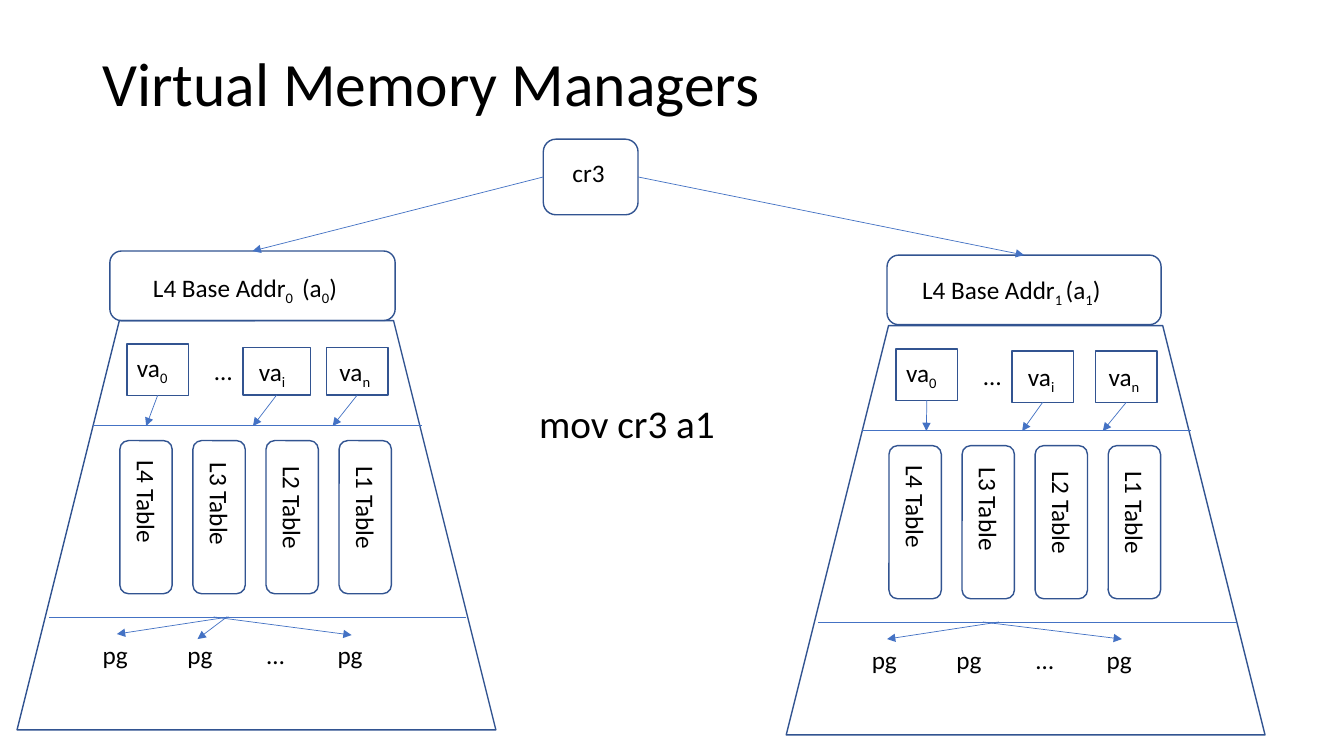
from lxml.etree import SubElement
from pptx import Presentation
from pptx.dml.color import RGBColor
from pptx.enum.shapes import MSO_CONNECTOR, MSO_SHAPE
from pptx.enum.text import MSO_ANCHOR
from pptx.oxml.ns import qn
from pptx.util import Pt

BLACK = RGBColor(0x00, 0x00, 0x00)
OUTLINE = RGBColor(0x32, 0x54, 0x91)
ARROW = RGBColor(0x44, 0x72, 0xC4)
TOP, LEFT, BOTTOM, RIGHT = range(4)
LABEL_HEIGHT = 29


def add_outline(slide, preset, left, top, width, height):
    outline = slide.shapes.add_shape(
        preset, Pt(left), Pt(top), Pt(width), Pt(height))
    outline.shadow.inherit = False
    outline.fill.background()
    outline.line.color.rgb = OUTLINE
    outline.line.width = Pt(1)
    return outline


def add_label(slide, text, left, top, width, height=LABEL_HEIGHT, size=18):
    """Add a text box; every second part between underscores is a subscript."""
    label = slide.shapes.add_textbox(Pt(left), Pt(top), Pt(width), Pt(height))
    label.text_frame.word_wrap = True
    paragraph = label.text_frame.paragraphs[0]
    for index, part in enumerate(text.split("_")):
        if not part:
            continue
        run = paragraph.add_run()
        run.text = part
        run.font.name = "Calibri"
        run.font.size = Pt(size)
        run.font.color.rgb = BLACK
        if index % 2:
            run._r.get_or_add_rPr().set("baseline", "-25000")
    return label


def add_line(slide, start, end, arrow=False):
    line = slide.shapes.add_connector(
        MSO_CONNECTOR.STRAIGHT, *[Pt(value) for value in (*start, *end)])
    line.line.color.rgb = ARROW
    line.line.width = Pt(0.5)
    if arrow:
        SubElement(line.line._get_or_add_ln(), qn("a:tailEnd"), type="triangle")
    SubElement(line._element.spPr, qn("a:effectLst"))
    return line


def add_title(slide, text):
    title = add_label(slide, text, 66, 9.5, 828, 104.4, 44)
    title.text_frame.vertical_anchor = MSO_ANCHOR.MIDDLE
    title.text_frame.paragraphs[0].line_spacing = 0.9


def add_base_address(slide, cr3, cr3_side, box, text, text_place):
    base = add_outline(slide, MSO_SHAPE.FLOWCHART_ALTERNATE_PROCESS, *box)
    add_label(slide, text, *text_place)
    pointer = add_line(slide, (0, 0), (0, 0), arrow=True)
    pointer.begin_connect(cr3, cr3_side)
    pointer.end_connect(base, TOP)


def add_page_tables(slide, x, y):
    label_centers = (140.4, 142.2, 144.7, 144.7)
    for index, center in enumerate(label_centers):
        left = x + 73.4 + 52.2 * index
        add_outline(slide, MSO_SHAPE.FLOWCHART_ALTERNATE_PROCESS,
                    left, y + 85.7, 37.4, 109.4)
        label = add_label(slide, f"L{4 - index} Table", left - 28.8,
                          y + center - LABEL_HEIGHT / 2, 95.8)
        label.rotation = 90


def add_address_space(slide, x, y, address_boxes, target_xs, page_arrows):
    """Draw one translation tree whose trapezoid starts at (x, y)."""
    add_outline(slide, MSO_SHAPE.TRAPEZOID, x, y, 342, 292.3)

    addresses = (("va_0", 78.5, 19.1), ("va_i", 165.6, 21.6),
                 ("va_n", 223.2, 21.6))
    for (text, dx, dy), box, target_x in zip(addresses, address_boxes, target_xs):
        left, top, width, height = box
        address = add_outline(slide, MSO_SHAPE.FLOWCHART_PROCESS,
                              x + left, y + top, width, height)
        add_label(slide, text, x + dx, y + dy, 46)
        lookup = add_line(slide, (x, y), (x + target_x, y + 75.3), arrow=True)
        lookup.begin_connect(address, BOTTOM)
    add_label(slide, "…", x + 134, y + 21.4, 22.3)

    for start, end, level in ((54, 289.4, 74.9), (23, 321, 211.7)):
        add_line(slide, (x + start, y + level), (x + end, y + level))
    add_page_tables(slide, x, y)

    for text, dx in (("pg", 54), ("pg", 114.5), ("…", 171.4), ("pg", 221.8)):
        add_label(slide, text, x + dx, y + 224, 35.3 if text == "pg" else 22.3)
    for start_x, end_x, end_y in page_arrows:
        add_line(slide, (x + start_x, y + 211.7), (x + end_x, y + end_y),
                 arrow=True)


def main():
    presentation = Presentation()
    presentation.slide_width = Pt(960)
    presentation.slide_height = Pt(540)
    slide = presentation.slides.add_slide(presentation.slide_layouts[6])

    add_title(slide, "Virtual Memory Managers")
    cr3 = add_outline(slide, MSO_SHAPE.FLOWCHART_ALTERNATE_PROCESS,
                      388.1, 99.4, 67.7, 54)
    add_label(slide, "cr3", 401.8, 108.7, 48.2)
    add_base_address(slide, cr3, LEFT, (78.5, 179.3, 203.8, 49.7),
                     "L4 Base Addr_0 _ (a_0_)", (102.2, 190.8, 158.4))
    add_base_address(slide, cr3, RIGHT, (633.6, 182.2, 195.8, 49.7),
                     "L4 Base Addr_1 _(a_1_)", (651.6, 192.2, 166.3))

    first_box = (78.5, 16.6, 43.9, 36.7)
    add_address_space(
        slide, 12.2, 229,
        (first_box, (161.3, 19.4, 48.2, 33.8), (221, 19.4, 43.9, 33.8)),
        (92.2, 168.5, 225.4),
        ((151.2, 71.3, 223.9), (149.8, 128.9, 227.5), (140.4, 239, 224.6)))
    add_address_space(
        slide, 561.6, 232.6,
        (first_box, (161.3, 18, 43.9, 36.7), (221, 18, 43.9, 36.7)),
        (100.1, 168.5, 226.1),
        ((151.9, 72, 223.9), (140.4, 239.8, 223.9)))
    add_label(slide, "mov cr3 a1", 378, 281.5, 167.8, 41, 28)

    presentation.save("out.pptx")


if __name__ == "__main__":
    main()
